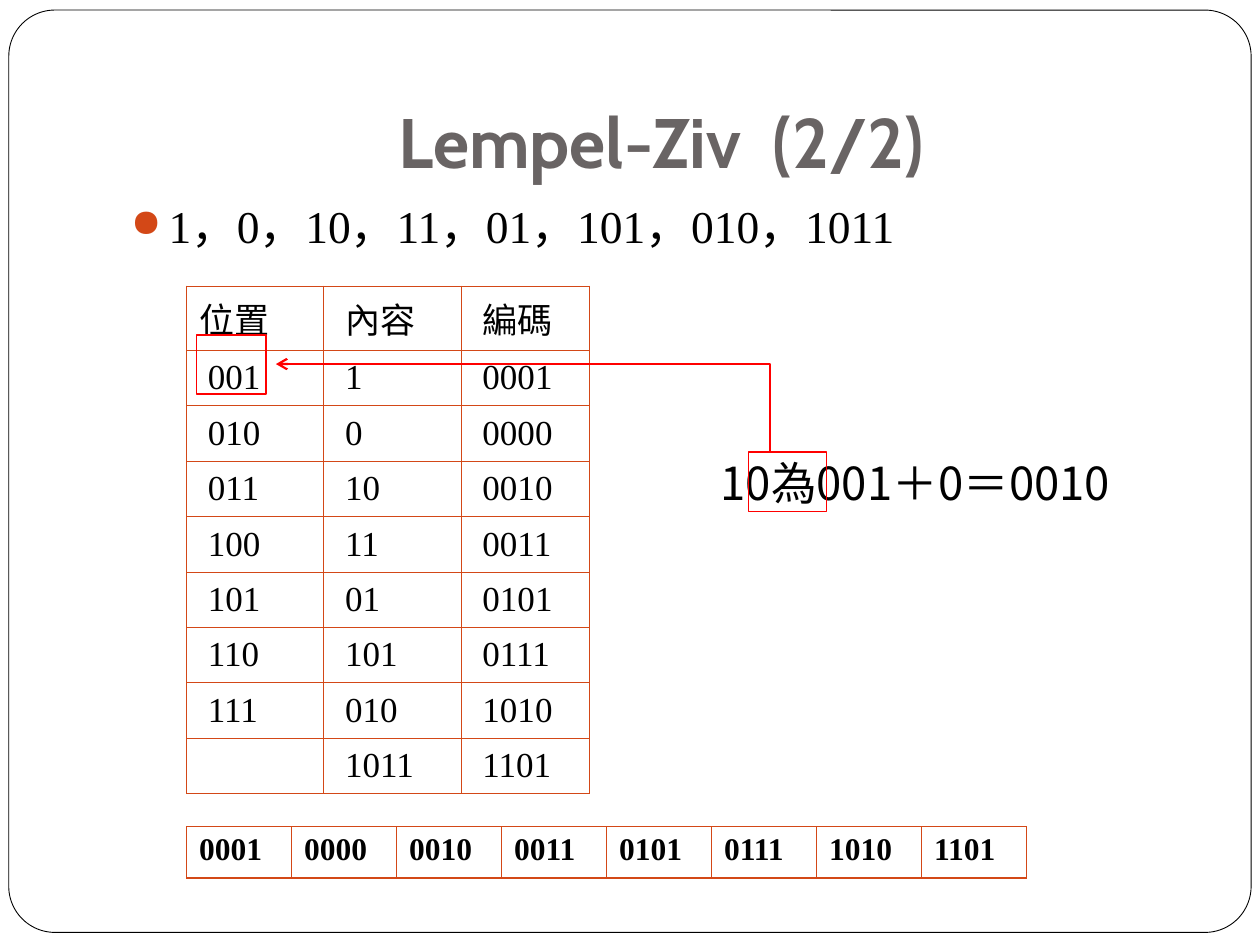
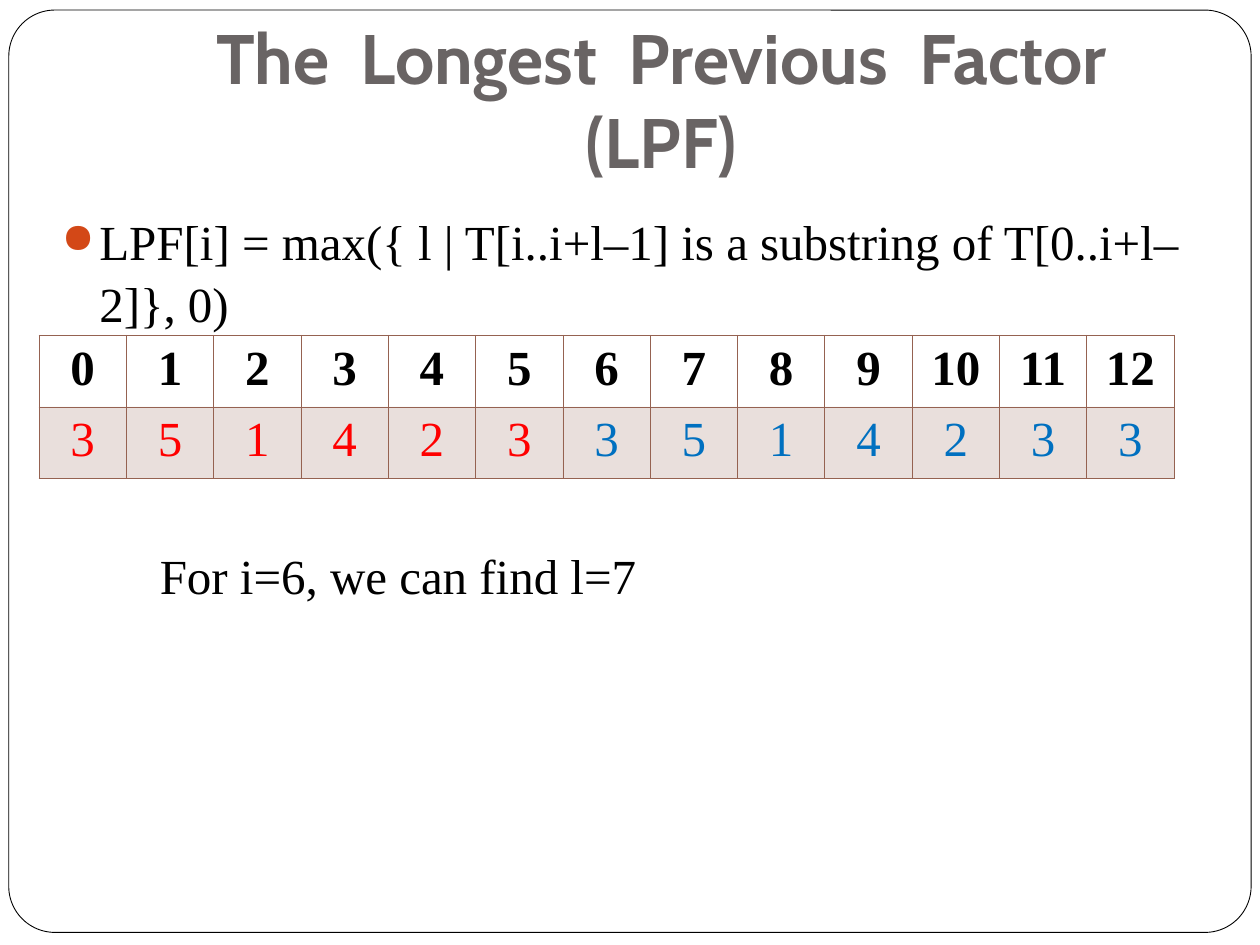
import pptx
import pptx.dml.color
import pptx.enum.shapes
import pptx.enum.text
import pptx.oxml
import pptx.oxml.ns
import pptx.util
from lxml import etree
from dataclasses import dataclass

Inches = pptx.util.Inches
Pt = pptx.util.Pt
Anchor = pptx.enum.text.MSO_ANCHOR
Align = pptx.enum.text.PP_ALIGN
Shape = pptx.enum.shapes.MSO_SHAPE
qn = pptx.oxml.ns.qn


@dataclass(frozen=True)
class Theme:
    heading_font: str = "Cabin"
    body_font: str = "Times New Roman"
    chinese_font: str = "Noto Sans CJK SC"
    title: str = "696464"
    ink: str = "000000"
    paper: str = "FFFFFF"
    accent: str = "D34817"
    brown: str = "956251"
    red: str = "FF0000"
    blue: str = "0070C0"
    title_size: int = 40
    large_size: int = 28
    body_size: int = 26
    cell_size: int = 20
    code_size: int = 18
    thin: float = 0.45
    thick: float = 0.96


THEME = Theme()

LEMPEL_ZIV_TITLE = "Lempel-Ziv  (2/2)"
PHRASES = "1，0，10，11，01，101，010，1011"
DICTIONARY = [
    ("位置", "內容", "編碼"),
    ("001", "1", "0001"),
    ("010", "0", "0000"),
    ("011", "10", "0010"),
    ("100", "11", "0011"),
    ("101", "01", "0101"),
    ("110", "101", "0111"),
    ("111", "010", "1010"),
    ("", "1011", "1101"),
]
CODES = [code for _, _, code in DICTIONARY[1:]]
EXAMPLE = "10為001＋0＝0010"
HIGHLIGHTS = [(5.94, 3.59, 0.62, 0.47), (1.56, 2.66, 0.55, 0.47)]
ARROW = (6.11, 3.59, 2.19, 2.89)

LPF_TITLE = "The  Longest  Previous  Factor (LPF)"
LPF_RULE = "LPF[i] = max({ l | T[i..i+l–1] is a substring of T[0..i+l–2]}, 0)"
LPF_VALUES = [3, 5, 1, 4, 2, 3, 3, 5, 1, 4, 2, 3, 3]
LPF_SPLIT = 6
LPF_FINDING = "For i=6, we can find l=7"


def rgb(color):
    return pptx.dml.color.RGBColor.from_string(color)


def inches(values):
    return [Inches(value) for value in values]


def format_para(para, size, font=THEME.body_font, color=THEME.ink, bold=False):
    for span in para.runs:
        span.font.name = font
        span.font.size = Pt(size)
        span.font.bold = bold
        span.font.color.rgb = rgb(color)


def add_frame(page, layout):
    frame = page.shapes.add_shape(Shape.ROUNDED_RECTANGLE, *inches((0.07, 0.08, 9.86, 7.32)))
    frame.adjustments[0] = 0.05
    frame.shadow.inherit = False
    frame.fill.solid()
    frame.fill.fore_color.rgb = rgb(THEME.paper)
    frame.line.color.rgb = rgb(THEME.ink)
    frame.line.width = Pt(0.5)
    layout.shapes.element.insert(2, frame.element)


def add_page(deck, layout, title):
    page = deck.slides.add_slide(layout)
    box = page.shapes.title
    box.left, box.top, box.width, box.height = inches((1, 0.3, 8.5, 1.25))
    text = box.text_frame
    text.text = title
    text.auto_size = pptx.enum.text.MSO_AUTO_SIZE.NONE
    text.word_wrap = True
    text.vertical_anchor = Anchor.BOTTOM
    text.margin_bottom = Inches(0.1)
    para = text.paragraphs[0]
    para.alignment = Align.CENTER
    format_para(para, THEME.title_size, THEME.heading_font, THEME.title, True)
    return page


def add_text(page, place, words, size, font=THEME.body_font):
    box = page.shapes.add_textbox(*inches(place))
    box.text_frame.word_wrap = True
    box.text_frame.text = words
    para = box.text_frame.paragraphs[0]
    format_para(para, size, font)
    return para


def add_bullet(para):
    properties = para._p.get_or_add_pPr()
    properties.set("marL", str(Inches(0.3)))
    properties.set("indent", str(-Inches(0.3)))
    color = etree.SubElement(properties, qn("a:buClr"))
    etree.SubElement(color, qn("a:srgbClr"), val=THEME.accent)
    etree.SubElement(properties, qn("a:buSzPct"), val="85000")
    etree.SubElement(properties, qn("a:buChar"), char="●")


def add_border(cell, side, color, width):
    properties = cell._tc.get_or_add_tcPr()
    line = etree.SubElement(properties, qn(f"a:{side}"), w=str(Pt(width)))
    fill = etree.SubElement(line, qn("a:solidFill"))
    etree.SubElement(fill, qn("a:srgbClr"), val=color)


def add_grid(page, left, top, widths, heights, rows, color, bottom_width, format_cell):
    holder = page.shapes.add_table(len(rows), len(widths),
                                   *inches((left, top, sum(widths), sum(heights))))
    table = holder.table
    table.first_row = table.horz_banding = False
    for column, width in zip(table.columns, widths):
        column.width = Inches(width)
    for row, height in zip(table.rows, heights):
        row.height = Inches(height)
    for row_index, row in enumerate(rows):
        top_width = bottom_width if row_index else THEME.thin
        sides = {"lnL": THEME.thin, "lnR": THEME.thin, "lnT": top_width, "lnB": bottom_width}
        for column_index, words in enumerate(row):
            cell = table.cell(row_index, column_index)
            for side, width in sides.items():
                add_border(cell, side, color, width)
            cell.fill.background()
            cell.text_frame.text = str(words)
            format_cell(cell, row_index, column_index)


def format_dictionary_cell(cell, row, column):
    cell.vertical_anchor = Anchor.MIDDLE
    cell.margin_left = Inches(0.17 if row or column else 0.1)
    para = cell.text_frame.paragraphs[0]
    para.font.size = Pt(THEME.cell_size)
    format_para(para, THEME.cell_size)


def format_code_cell(cell, row, column):
    format_para(cell.text_frame.paragraphs[0], THEME.code_size, bold=True)


def format_lpf_cell(cell, row, column):
    para = cell.text_frame.paragraphs[0]
    para.alignment = Align.CENTER
    if row == 0:
        format_para(para, THEME.large_size, bold=True)
        return
    format_para(para, THEME.large_size, color=THEME.red if column < LPF_SPLIT else THEME.blue)
    cell.fill.solid()
    cell.fill.fore_color.rgb = rgb(THEME.brown)
    tint = cell._tc.tcPr.find(qn("a:solidFill")).find(qn("a:srgbClr"))
    etree.SubElement(tint, qn("a:alpha"), val="20000")


def add_highlight(page, place):
    box = page.shapes.add_shape(Shape.RECTANGLE, *inches(place))
    box.shadow.inherit = False
    box.fill.background()
    box.line.color.rgb = rgb(THEME.red)
    box.line.width = Pt(1)


def add_elbow_arrow(page, ends):
    arrow = page.shapes.add_connector(pptx.enum.shapes.MSO_CONNECTOR.ELBOW, *inches(ends))
    arrow.line.color.rgb = rgb(THEME.red)
    arrow.line.width = Pt(1.25)
    properties = arrow.element.spPr
    etree.SubElement(properties.find(qn("a:ln")), qn("a:tailEnd"), type="arrow")
    etree.SubElement(properties, qn("a:effectLst"))
    guides = properties.find(qn("a:prstGeom")).find(qn("a:avLst"))
    etree.SubElement(guides, qn("a:gd"), name="adj1", fmla="val 0")


def build_lempel_ziv(page):
    add_bullet(add_text(page, (0.94, 1.52, 8.53, 0.62), PHRASES, THEME.body_size))
    add_text(page, (5.62, 3.56, 3.95, 0.62), EXAMPLE, THEME.body_size, THEME.chinese_font)
    heights = [0.51] + [0.44] * (len(DICTIONARY) - 1)
    add_grid(page, 1.48, 2.27, [1.09, 1.09, 1.02], heights, DICTIONARY,
             THEME.accent, THEME.thin, format_dictionary_cell)
    add_grid(page, 1.48, 6.56, [6.67 / len(CODES)] * len(CODES), [0.41], [CODES],
             THEME.accent, THEME.thick, format_code_cell)
    for place in HIGHLIGHTS:
        add_highlight(page, place)
    add_elbow_arrow(page, ARROW)


def build_lpf(page):
    rule = add_text(page, (0.39, 1.6, 9.3, 1.05), LPF_RULE, THEME.large_size)
    add_bullet(rule)
    rule.line_spacing = 1.06
    add_text(page, (1.17, 4.28, 8.5, 0.55), LPF_FINDING, THEME.large_size)
    count = len(LPF_VALUES)
    add_grid(page, 0.31, 2.66, [9.01 / count] * count, [0.57, 0.57],
             [range(count), LPF_VALUES], THEME.brown, THEME.thin, format_lpf_cell)


def main():
    deck = pptx.Presentation()
    deck.slide_width, deck.slide_height = inches((10, 7.5))
    layout = deck.slide_layouts[5]
    lempel_ziv = add_page(deck, layout, LEMPEL_ZIV_TITLE)
    add_frame(lempel_ziv, layout)
    build_lempel_ziv(lempel_ziv)
    build_lpf(add_page(deck, layout, LPF_TITLE))
    deck.save("out.pptx")


if __name__ == "__main__":
    main()
